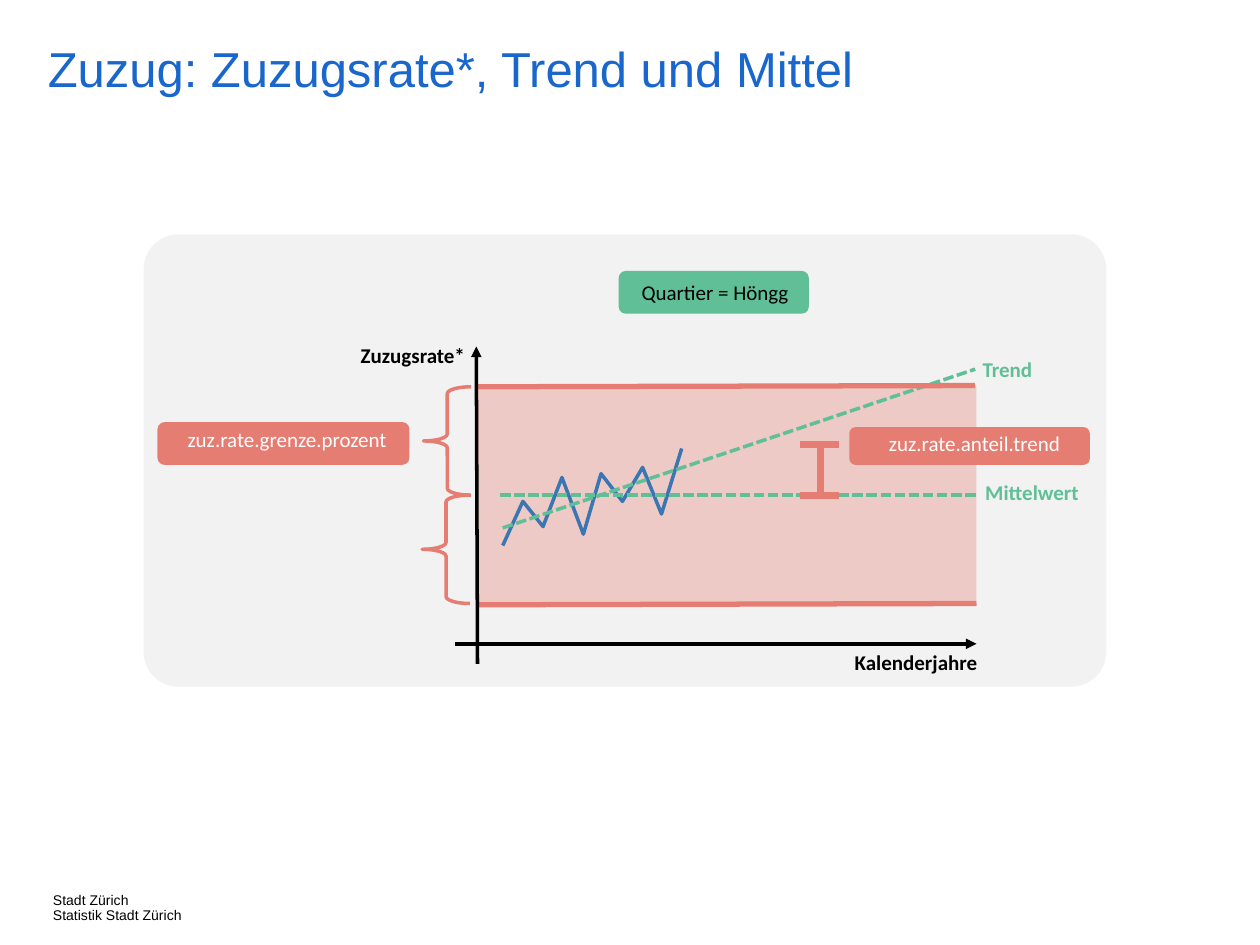
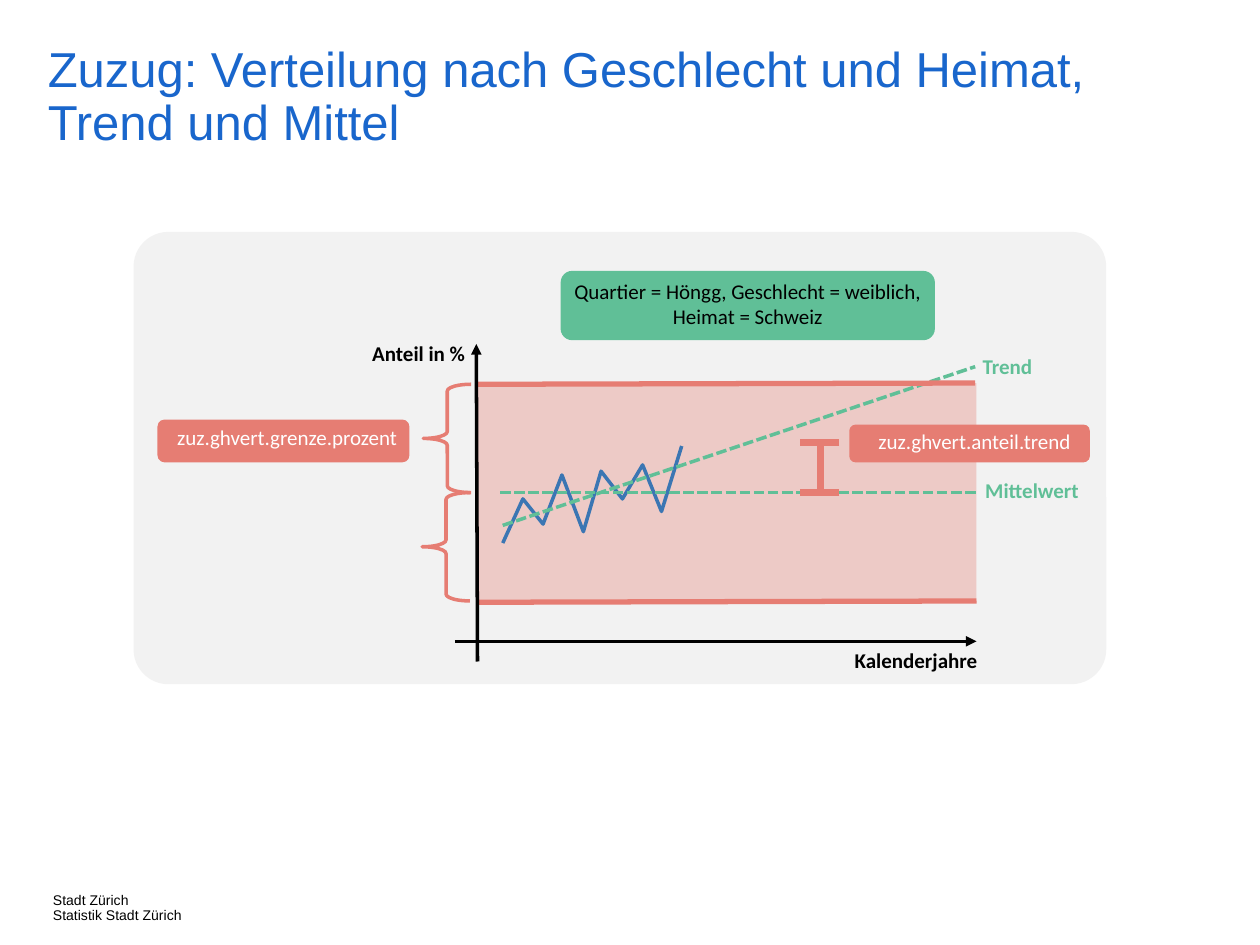
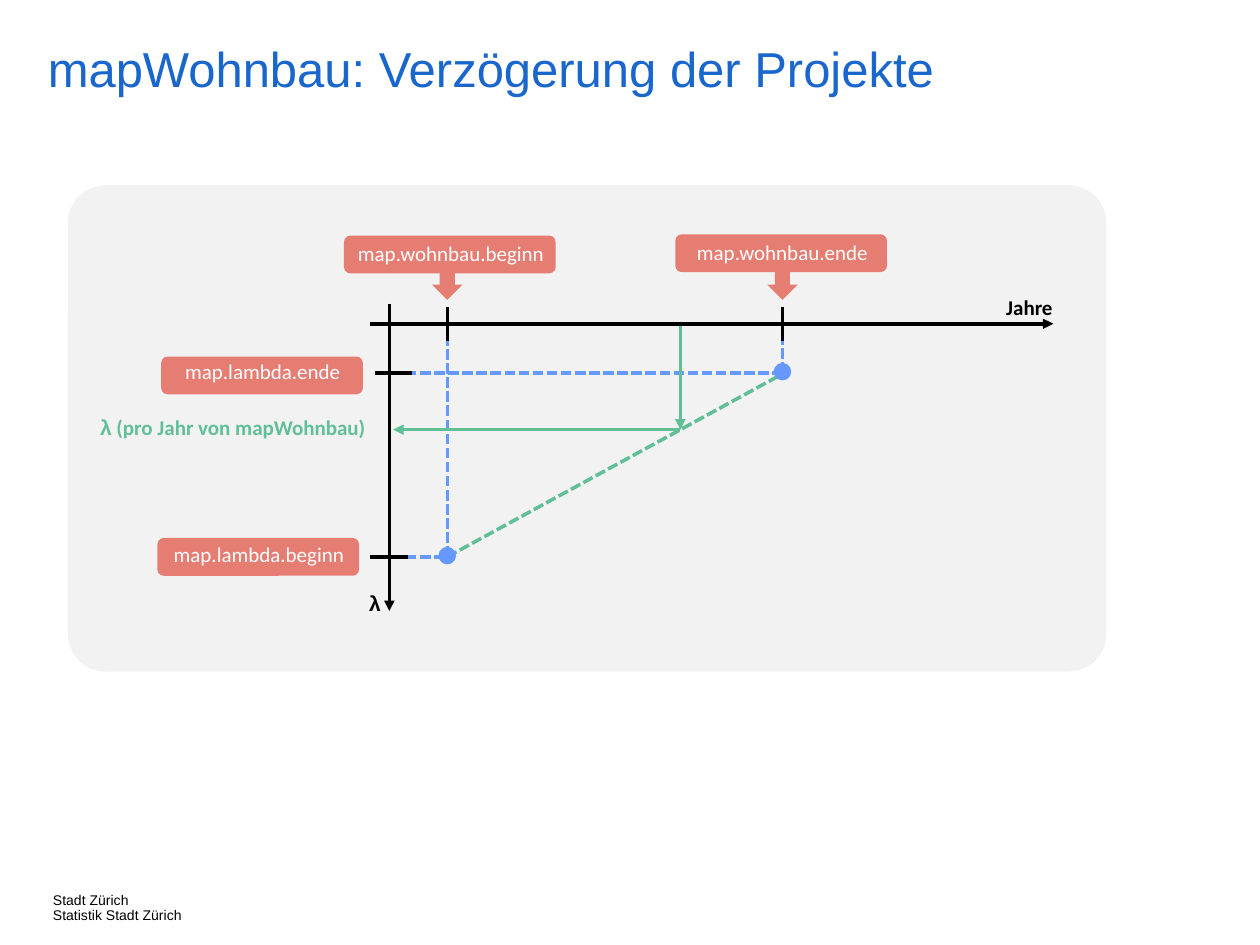
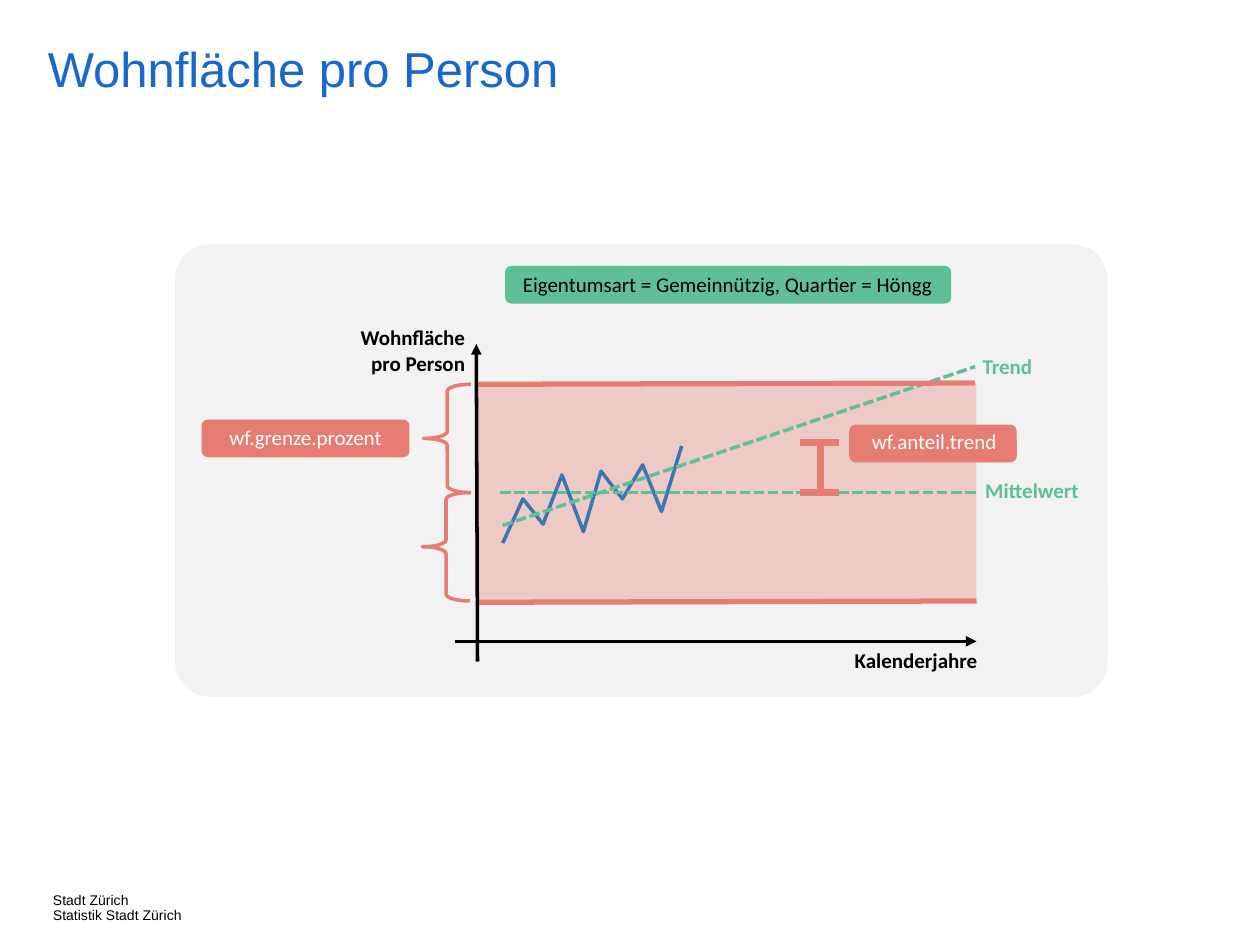
from dataclasses import dataclass

from lxml.etree import SubElement
from pptx import Presentation
from pptx.dml.color import RGBColor
from pptx.enum.dml import MSO_LINE
from pptx.enum.shapes import MSO_CONNECTOR, MSO_SHAPE
from pptx.enum.text import MSO_AUTO_SIZE, PP_ALIGN
from pptx.oxml.ns import qn
from pptx.util import Inches, Pt

TITLE_BLUE = RGBColor(0x19, 0x66, 0xCC)
CURVE_BLUE = RGBColor(0x3B, 0x76, 0xB3)
GUIDE_BLUE = RGBColor(0x66, 0x99, 0xFF)
GREEN = RGBColor(0x60, 0xBF, 0x97)
RED = RGBColor(0xE6, 0x7D, 0x73)
PANEL_GREY = RGBColor(0xF2, 0xF2, 0xF2)
BLACK = RGBColor(0, 0, 0)
WHITE = RGBColor(0xFF, 0xFF, 0xFF)

LABEL_HEIGHT = 0.3
FOOTER = ("Stadt Zürich", "Statistik Stadt Zürich")

# Inches from the top left corner of the tolerance band
CURVE = [(0.21, 1.27), (0.37, 0.92), (0.53, 1.12), (0.68, 0.73), (0.85, 1.18),
         (0.99, 0.7), (1.16, 0.92), (1.32, 0.65), (1.47, 1.02), (1.63, 0.5)]


@dataclass
class Pill:
    """Rounded tag; shift moves its label (left, top, extra width)."""
    text: str
    box: tuple
    shift: tuple = (0, 0, 0)
    fill: RGBColor = RED
    color: RGBColor = WHITE
    label_height: float = LABEL_HEIGHT


def style_text(para, size, color, font="Calibri", bold=False):
    para.font.name = font
    para.font.size = Pt(size)
    para.font.color.rgb = color
    para.font.bold = bold


class Canvas:
    """Draws parts in inches relative to a given origin."""

    def __init__(self, shapes, left, top):
        self.shapes, self.left, self.top = shapes, left, top

    def point(self, x, y):
        return Inches(self.left + x), Inches(self.top + y)

    def place(self, box):
        left, top, width, height = box
        return *self.point(left, top), Inches(width), Inches(height)

    def block(self, kind, box, fill, alpha=None):
        shape = self.shapes.add_shape(kind, *self.place(box))
        shape.shadow.inherit = False
        shape.fill.solid()
        shape.fill.fore_color.rgb = fill
        shape.line.fill.background()
        if alpha:
            color = shape.fill._xPr.find(".//" + qn("a:srgbClr"))
            SubElement(color, qn("a:alpha"), val=str(alpha * 1000))
        return shape

    def outline(self, shape, color):
        shape.shadow.inherit = False
        shape.fill.background()
        shape.line.color.rgb = color
        shape.line.width = Pt(2)

    def brace(self, box):
        shape = self.shapes.add_shape(MSO_SHAPE.LEFT_BRACE, *self.place(box))
        shape.adjustments[0] = 0.142
        self.outline(shape, RED)

    def curve(self, points, color):
        first, *rest = [self.point(*point) for point in points]
        builder = self.shapes.build_freeform(*first)
        builder.add_line_segments(rest, close=False)
        self.outline(builder.convert_to_shape(), color)

    def line(self, start, end, color=BLACK, width=2, dashed=False, arrow=False):
        line = self.shapes.add_connector(
            MSO_CONNECTOR.STRAIGHT, *self.point(*start), *self.point(*end))
        line.line.color.rgb = color
        line.line.width = Pt(width)
        if dashed:
            line.line.dash_style = MSO_LINE.SQUARE_DOT
        properties = line._element.spPr
        if arrow:
            SubElement(properties.find(qn("a:ln")), qn("a:tailEnd"), type="triangle")
        SubElement(properties, qn("a:effectLst"))

    def label(self, text, box, color=BLACK, align=PP_ALIGN.CENTER, bold=True):
        frame = self.shapes.add_textbox(*self.place(box)).text_frame
        frame.word_wrap = True
        frame.auto_size = MSO_AUTO_SIZE.SHAPE_TO_FIT_TEXT
        para = frame.paragraphs[0]
        para.text = text
        para.alignment = align
        style_text(para, 12, color, bold=bold)
        return para

    def pill(self, pill):
        left, top, width, _ = pill.box
        right, down, extra = pill.shift
        self.block(MSO_SHAPE.ROUNDED_RECTANGLE, pill.box, pill.fill)
        self.label(pill.text, (left + right, top + down, width + extra, pill.label_height),
                   pill.color, bold=False)


def add_text(page, box, lines, size, color):
    """Plain text without insets, as in titles and footers."""
    frame = page.shapes.add_textbox(*map(Inches, box)).text_frame
    frame.margin_left = frame.margin_right = frame.margin_top = frame.margin_bottom = 0
    for index, line in enumerate(lines):
        para = frame.add_paragraph() if index else frame.paragraphs[0]
        para.text = line
        para.line_spacing = 0.9
        style_text(para, size, color, "Arial")
    return frame


def add_page(deck, title, panel_box):
    """Footer, title and grey panel; returns the shapes of the drawing group."""
    page = deck.slides.add_slide(deck.slide_layouts[6])
    add_text(page, (0.42, 7.09, 1.31, 0.2), FOOTER, 8, BLACK).word_wrap = False
    add_text(page, (0.38, 0.36, 8.4, 0.64), [title], 28, TITLE_BLUE).word_wrap = True
    shapes = page.shapes.add_group_shape().shapes
    left, top, width, height = panel_box
    panel = Canvas(shapes, left, top).block(
        MSO_SHAPE.ROUNDED_RECTANGLE, (0, 0, width, height), PANEL_GREY)
    panel.adjustments[0] = 0.077
    return shapes


def draw_trend_chart(shapes, band_box, axis_title, axis_title_box, pills):
    """Schematic time series with mean, trend and tolerance band."""
    left, top, width, height = band_box
    plot = Canvas(shapes, left, top)
    middle = height / 2

    # Tolerance band and axes
    plot.block(MSO_SHAPE.RECTANGLE, (0, 0, width, height), RED, alpha=34)
    plot.line((-0.17, 2.05), (width, 2.05), arrow=True)
    plot.label("Kalenderjahre", (2.87, 2.05, 1.24, LABEL_HEIGHT))
    plot.label(axis_title, axis_title_box, align=PP_ALIGN.RIGHT)

    # Series, mean and trend
    plot.curve(CURVE, CURVE_BLUE)
    plot.line((0.19, middle), (width, middle), GREEN, dashed=True)
    plot.label("Mittelwert", (3.64, 0.7, 1.24, LABEL_HEIGHT), GREEN, PP_ALIGN.RIGHT)
    plot.line((0.21, 1.13), (3.96, -0.13), GREEN, dashed=True)
    plot.label("Trend", (3.87, -0.28, 0.64, LABEL_HEIGHT), GREEN, PP_ALIGN.RIGHT)

    # Limits and their braces
    plot.brace((-0.42, 0.01, 0.38, 0.86))
    plot.line((0, height), (width, height - 0.01), RED, 3)
    plot.line((0, 0.01), (width - 0.01, 0), RED, 3)
    plot.line((0.01, 2.21), (0, -0.31), arrow=True)
    plot.brace((-0.43, middle, 0.38, 0.86))

    # Distance between trend and mean
    plot.line((2.73, 0.47), (2.73, middle), RED, 4)
    for y in (0.47, middle):
        plot.line((2.88, y), (2.57, y), RED, 4)

    for pill in pills:
        plot.pill(pill)


def draw_delay_chart(shapes, origin):
    """Lambda as a linear function of the year, below the time axis."""
    plot = Canvas(shapes, *origin)
    start_x, year_x, end_x = 0.46, 2.31, 3.12
    end_y, year_y, start_y = 0.39, 0.84, 1.85

    # Guides and interpolation line
    plot.line((0, -0.16), (0, 2.28), arrow=True)
    plot.line((start_x, start_y), (end_x - 0.04, end_y + 0.03), GREEN, dashed=True)
    for x, y in ((start_x, start_y), (end_x, end_y)):
        plot.block(MSO_SHAPE.OVAL, (x - 0.07, y - 0.08, 0.14, 0.14), GUIDE_BLUE)
        plot.line((0.02, y), (x, y), GUIDE_BLUE, dashed=True)
        plot.line((x, y), (x, 0), GUIDE_BLUE, dashed=True)
        plot.line((x, -0.13), (x, 0.14))
    plot.line((0.18, end_y), (-0.11, end_y))
    plot.line((0.15, start_y), (-0.15, start_y))

    # Reading one year
    plot.line((year_x, 0), (year_x, year_y), GREEN, arrow=True)
    plot.line((-0.15, 0), (5.27, 0), arrow=True)
    plot.line((year_x, year_y), (0.03, year_y), GREEN, arrow=True)

    # Axis labels
    plot.label("Jahre", (4.59, -0.28, 0.98, LABEL_HEIGHT))
    axis = plot.label("λ", (-0.44, 2.07, 0.47, LABEL_HEIGHT), align=PP_ALIGN.RIGHT)
    reading = plot.label("λ", (-2.55, 0.67, 2.46, LABEL_HEIGHT), GREEN, PP_ALIGN.RIGHT)
    for para in (axis, reading):
        para.runs[0].font.name = "Arial"
    span = reading.add_run()
    span.text = " (pro Jahr von mapWohnbau)"
    span.font.name = "Calibri"

    # Parameters
    for x in (start_x, end_x):
        plot.block(MSO_SHAPE.DOWN_ARROW, (x - 0.12, -0.47, 0.24, 0.28), RED)
    for pill in (
        Pill("map.wohnbau.beginn", (-0.36, -0.7, 1.68, 0.3), (-0.05, -0.01, 0.12)),
        Pill("map.wohnbau.ende", (2.27, -0.71, 1.68, 0.3), (-0.05, -0.01, 0.12)),
        Pill("map.lambda.ende", (-1.81, 0.26, 1.6, 0.3), (-0.09, -0.03, 0.19)),
        Pill("map.lambda.beginn", (-1.84, 1.7, 1.6, 0.3), (-0.09, -0.02, 0.19)),
    ):
        plot.pill(pill)


def limit_pill(text, width, height, shift):
    return Pill(text, (-0.53 - width, 0.29, width, height), shift)


def trend_pill(text, width, shift):
    return Pill(text, (2.96, 0.33, width, 0.3), shift)


def main():
    deck = Presentation()
    deck.slide_width, deck.slide_height = Inches(10), Inches(7.5)
    wide_limit, wide_trend = (0, -0.01, 0.06), (0.08, -0.02, -0.08)

    # Immigration rate
    shapes = add_page(deck, "Zuzug: Zuzugsrate*, Trend und Mittel", (1.14, 1.86, 7.64, 3.59))
    draw_trend_chart(
        shapes, (3.78, 3.06, 3.97, 1.74), "Zuzugsrate*", (-1.22, -0.39, 1.23, LABEL_HEIGHT),
        [Pill("Quartier = Höngg", (1.13, -0.91, 1.51, 0.34), (0.02, 0.02, -0.02), GREEN, BLACK),
         limit_pill("zuz.rate.grenze.prozent", 2, 0.34, wide_limit),
         trend_pill("zuz.rate.anteil.trend", 1.91, wide_trend)])

    # Distribution by sex and origin
    shapes = add_page(deck, "Zuzug: Verteilung nach Geschlecht und Heimat, Trend und Mittel",
                      (1.06, 1.84, 7.72, 3.59))
    draw_trend_chart(
        shapes, (3.78, 3.04, 3.97, 1.74), "Anteil in %", (-1.23, -0.39, 1.24, LABEL_HEIGHT),
        [Pill("Quartier = Höngg, Geschlecht = weiblich, Heimat = Schweiz",
              (0.67, -0.89, 2.97, 0.55), (-0.02, 0.01, 0.04), GREEN, BLACK, 0.5),
         limit_pill("zuz.ghvert.grenze.prozent", 2, 0.34, wide_limit),
         trend_pill("zuz.ghvert.anteil.trend", 1.91, wide_trend)])

    # Project delay
    shapes = add_page(deck, "mapWohnbau: Verzögerung der Projekte", (0.54, 1.47, 8.24, 3.86))
    draw_delay_chart(shapes, (3.09, 2.57))

    # Living space
    shapes = add_page(deck, "Wohnfläche pro Person", (1.39, 1.94, 7.4, 3.59))
    draw_trend_chart(
        shapes, (3.78, 3.04, 3.97, 1.74), "Wohnfläche pro Person", (-1.23, -0.51, 1.24, 0.5),
        [Pill("Eigentumsart = Gemeinnützig, Quartier = Höngg",
              (0.23, -0.93, 3.54, 0.3), (-0.11, 0, 0.21), GREEN, BLACK),
         limit_pill("wf.grenze.prozent", 1.65, 0.3, (0.02, -0.01, -0.04)),
         trend_pill("wf.anteil.trend", 1.33, (0.02, -0.02, -0.02))])

    deck.save("out.pptx")


if __name__ == "__main__":
    main()
